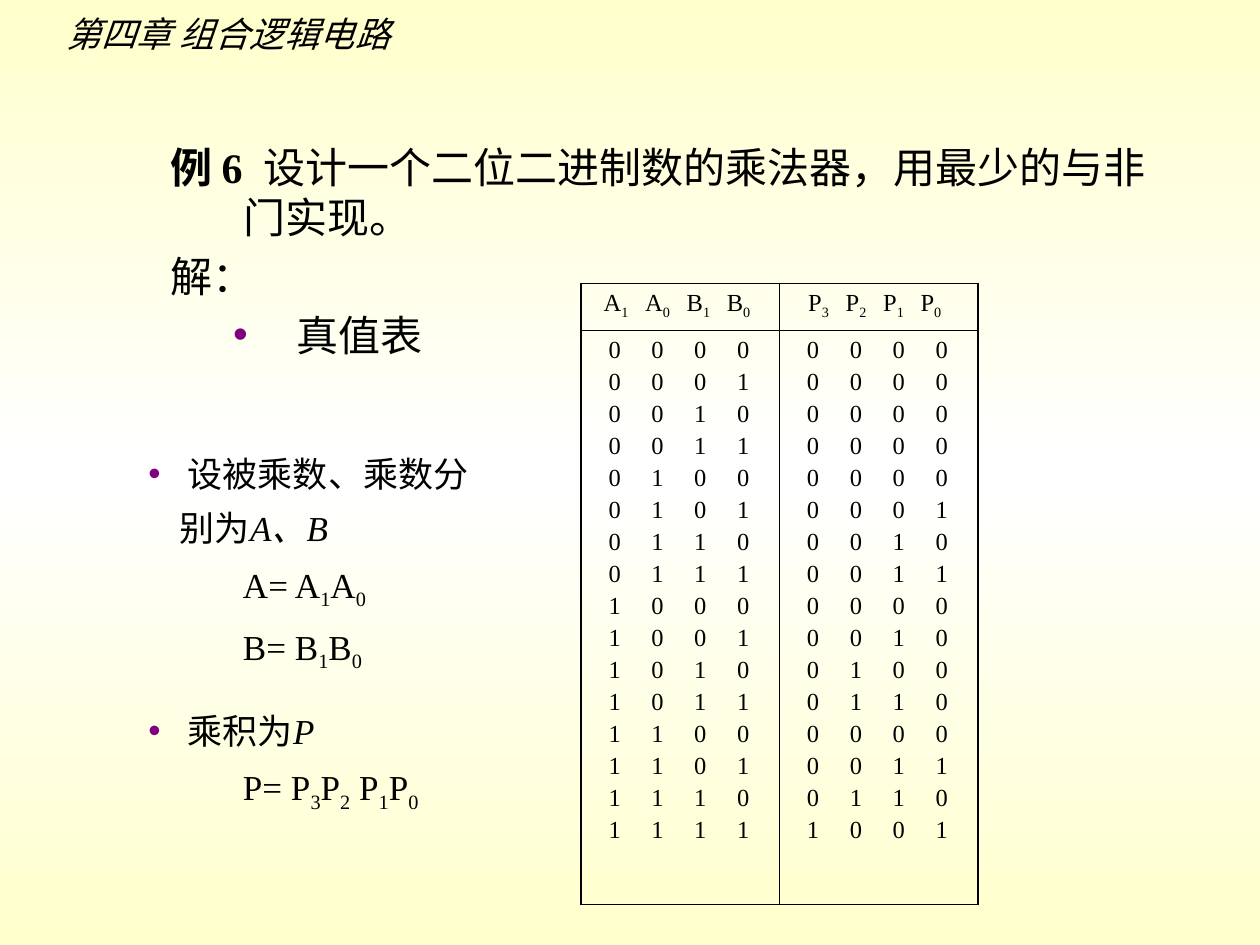
"""Build the slide on a two-bit binary multiplier with its truth table."""
from copy import deepcopy

from lxml import etree
from pptx import Presentation
from pptx.dml.color import RGBColor
from pptx.enum.text import MSO_ANCHOR, MSO_AUTO_SIZE, PP_ALIGN
from pptx.oxml.ns import qn
from pptx.util import Inches, Pt

LEFT, TOP, NO_FIT = PP_ALIGN.LEFT, MSO_ANCHOR.TOP, MSO_AUTO_SIZE.NONE
COLORS = {"text": "000000", "bullet": "800080", "edge": "FFFFCC", "middle": "FFFFFF"}
SERIF, SANS = "Times New Roman", "Noto Sans CJK SC"
TRACKING = {"digits": "700", "gap": "600"}


def add_paragraph(tf, first, runs, size, level=0, left=0, indent=0, before=0,
                  spacing=1.0, bullet=False, font=SERIF):
    """Add a paragraph of (text, style) runs."""
    p = tf.paragraphs[0] if first else tf.add_paragraph()
    p.level, p.alignment, p.line_spacing = level, LEFT, spacing
    p.space_before = Pt(0 if first else before)
    pPr = p._p.get_or_add_pPr()
    pPr.set("marL", str(Inches(left)))
    pPr.set("indent", str(Inches(indent)))
    if bullet:
        color = etree.SubElement(pPr, qn("a:buClr"))
        etree.SubElement(color, qn("a:srgbClr"), val=COLORS["bullet"])
        etree.SubElement(pPr, qn("a:buFont"), typeface="Arial")
        etree.SubElement(pPr, qn("a:buChar"), char="•")
    else:
        etree.SubElement(pPr, qn("a:buNone"))
    for text, style in runs:
        r = p.add_run()
        r.text = text
        r.font.name, r.font.size = font, Pt(size)
        r.font.bold, r.font.italic = style == "bold", style == "italic"
        r.font.color.rgb = RGBColor.from_string(COLORS["text"])
        rPr = r._r.get_or_add_rPr()
        if font == SANS:
            etree.SubElement(rPr, qn("a:ea"), typeface=font)
        if style == "sub":
            rPr.set("baseline", "-25000")
        elif style in TRACKING:
            rPr.set("spc", TRACKING[style])


def subscripted(*parts):
    """Turn alternating base and subscript texts into runs."""
    return [(text, "sub" if i % 2 else "") for i, text in enumerate(parts)]


prs = Presentation()
prs.slide_width, prs.slide_height = Inches(10), Inches(7.5)
s = prs.slides.add_slide(prs.slide_layouts[1])

fill = s.background.fill
fill.gradient()
fill.gradient_angle = 270
stop_list = s._element.find(".//" + qn("a:gsLst"))
stop_list.insert(1, deepcopy(stop_list[0]))
for stop, position, name in zip(fill.gradient_stops, (0, 0.5, 1), ("edge", "middle", "edge")):
    stop.position = position
    stop.color.rgb = RGBColor.from_string(COLORS[name])

title, body = s.shapes.title, s.placeholders[1]
for sp, box in ((title, (0.43, 0.05, 2.83, 0.44)), (body, (0.75, 1.07, 8.5, 1.89))):
    sp.left, sp.top, sp.width, sp.height = map(Inches, box)
    sp.text_frame.auto_size = NO_FIT
    sp.text_frame.vertical_anchor = TOP
title.text_frame.word_wrap = False
add_paragraph(title.text_frame, True, [("第四章 组合逻辑电路", "italic")], 20, font=SANS)

example = [("例 6  ", "bold"), ("设计一个二位二进制数的乘法器，用最少的与非门实现。", "")]
tf = body.text_frame
add_paragraph(tf, True, example, 24, 1, 1.08, -0.58)
add_paragraph(tf, False, [("解：", "")], 24, 1, 1.08, -0.58, 4.8)
add_paragraph(tf, False, [("真值表", "")], 24, 2, 1.5, -0.5, 4.8, bullet=True)

table = s.shapes.add_table(2, 2, Inches(4.61), Inches(2.25), Inches(3.15), Inches(4.93)).table
table.first_row = table.horz_banding = False
for row, height in zip(table.rows, (0.37, 4.56)):
    row.height = Inches(height)
for column in table.columns:
    column.width = Inches(1.575)

factors = [f"{n:04b}" for n in range(16)]
products = [f"{(n >> 2) * (n & 3):04b}" for n in range(16)]
columns = ((("A1", "A0", "B1", "B0"), factors, 0.18),
           (("P3", "P2", "P1", "P0"), products, 0.23))
for col, (variables, values, head_margin) in enumerate(columns):
    head, data = table.cell(0, col), table.cell(1, col)
    heading = []
    for i, (letter, digit) in enumerate(variables):
        if i:
            heading.append((" ", "gap"))
        heading += subscripted(letter, digit)
    add_paragraph(head.text_frame, True, heading, 14)
    for i, bits in enumerate(values):
        add_paragraph(data.text_frame, i == 0, [(" ".join(bits), "digits")], 14, before=2.8)
    for row, (cell, margin) in enumerate(((head, head_margin), (data, 0.22))):
        cell.margin_left, cell.margin_right = Inches(margin), 0
        cell.fill.background()
        tcPr = cell._tc.get_or_add_tcPr()
        outer = {"L": col == 0, "R": col == 1, "T": row == 0, "B": row == 1}
        for i, (side, is_outer) in enumerate(outer.items()):
            ln = etree.Element(qn("a:ln" + side), w=str(Pt(1.08 if is_outer else 0.45)))
            solid = etree.SubElement(ln, qn("a:solidFill"))
            etree.SubElement(solid, qn("a:srgbClr"), val=COLORS["text"])
            tcPr.insert(i, ln)

notes = (
    (3.44, 1.95, [(" 设被乘数、乘数分别为", ""), ("A、B", "italic")],
     [subscripted("A= A", "1", "A", "0"), subscripted("B= B", "1", "B", "0")]),
    (5.48, 1.03, [(" 乘积为", ""), ("P", "italic")],
     [subscripted("P= P", "3", "P", "2", " P", "1", "P", "0")]),
)
for top, height, statement, formulas in notes:
    tf = s.shapes.add_textbox(Inches(0.83), Inches(top), Inches(3.15), Inches(height)).text_frame
    tf.word_wrap = True
    add_paragraph(tf, True, statement, 20, 1, 0.5, -0.25, spacing=1.3, bullet=True)
    for formula in formulas:
        add_paragraph(tf, False, formula, 20, 2, 1, spacing=1.3)

prs.save("out.pptx")
